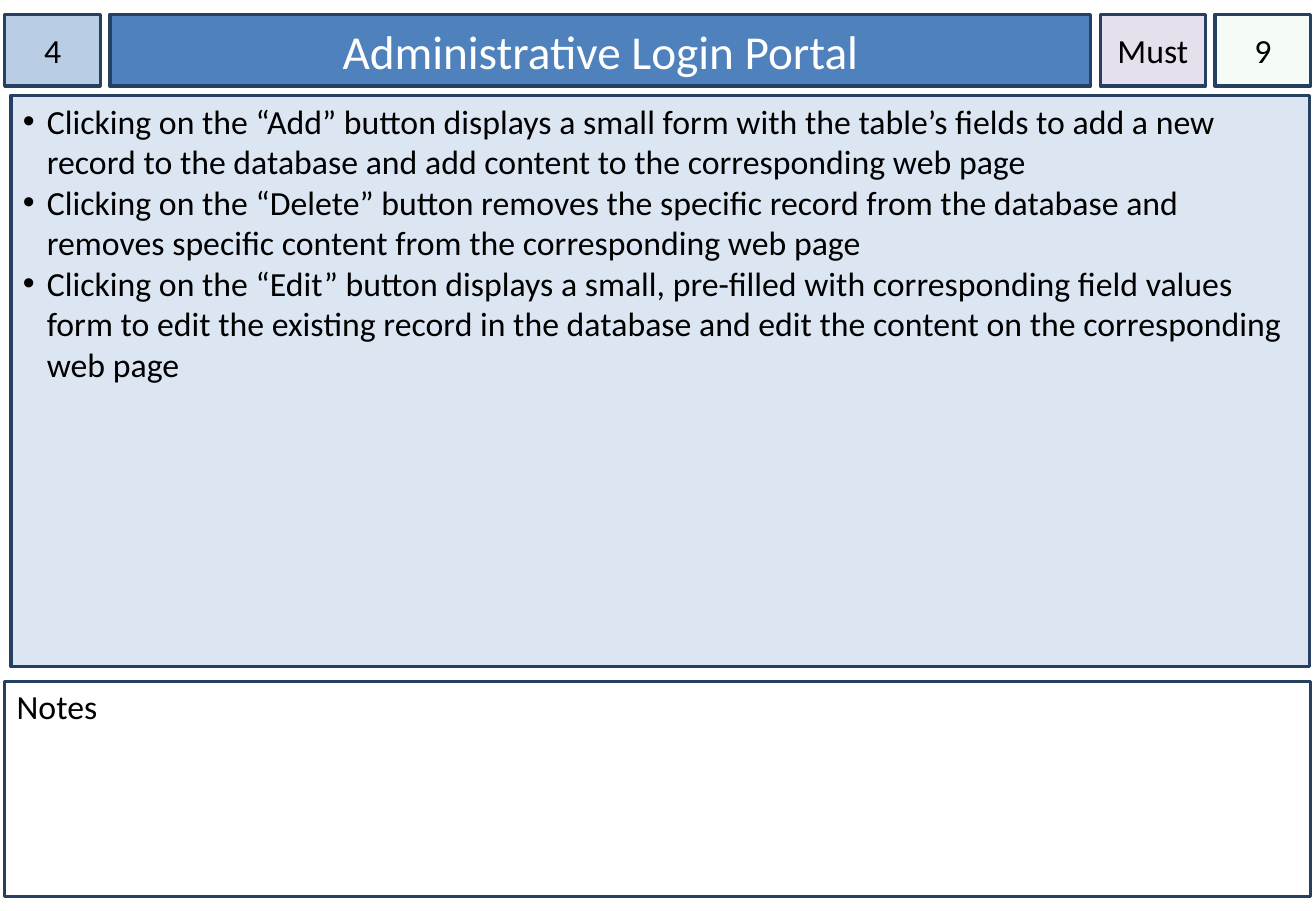
from lxml import etree
from pptx import Presentation
from pptx.dml.color import RGBColor
from pptx.enum.shapes import MSO_SHAPE
from pptx.enum.text import MSO_ANCHOR, PP_ALIGN
from pptx.oxml.ns import qn
from pptx.util import Cm, Pt

RECTANGLE = MSO_SHAPE.RECTANGLE
TOP, MIDDLE = MSO_ANCHOR.TOP, MSO_ANCHOR.MIDDLE
LEFT, CENTER = PP_ALIGN.LEFT, PP_ALIGN.CENTER

FONT = "Calibri"
BORDER, BLACK, WHITE = "254061", "000000", "FFFFFF"
GAP = 0.2
INDENT = 0.5

CELL_FRAME = {"vertical_anchor": MIDDLE, "margin_left": 0, "margin_right": 0}
TITLE_FRAME = {"vertical_anchor": MIDDLE}
TEXT_FRAME = {"vertical_anchor": TOP, "margin_top": Cm(0.1)}

# text, width, fill, opacity in percent, font size, font colour, frame format
HEADER_CELLS = [
    ("4", 2, "B9CDE5", 100, 20, BLACK, CELL_FRAME),
    ("Administrative Login Portal", 20.5, "4F81BD", 100, 28, WHITE, TITLE_FRAME),
    ("Must", 2.2, "E6E0EC", 100, 20, BLACK, {**CELL_FRAME, "word_wrap": False}),
    ("9", 2, "CCF0CD", 20, 20, BLACK, CELL_FRAME),
]
CRITERIA = [
    "Clicking on the “Add” button displays a small form with the table’s fields "
    "to add a new record to the database and add content to the corresponding web page",
    "Clicking on the “Delete” button removes the specific record from the database "
    "and removes specific content from the corresponding web page",
    "Clicking on the “Edit” button displays a small, pre-filled with corresponding "
    "field values form to edit the existing record in the database and edit the "
    "content on the corresponding web page",
]


def color(hex_string):
    """Turn a hex string into a colour."""
    return RGBColor.from_string(hex_string)


def set_opacity(panel, percent):
    """Make the solid fill of a panel partly transparent."""
    fill_color = panel.fill._xPr.find(qn("a:solidFill"))[0]
    etree.SubElement(fill_color, qn("a:alpha"), val=str(percent * 1000))


def add_bullet(paragraph):
    """Give a paragraph a round bullet with a hanging indent."""
    properties = paragraph._p.get_or_add_pPr()
    properties.set("marL", str(Cm(INDENT)))
    properties.set("indent", str(-Cm(INDENT)))
    etree.SubElement(properties, qn("a:buFont"), typeface="Arial")
    etree.SubElement(properties, qn("a:buChar"), char="•")


def add_panel(slide, box, lines, fill, frame_format, align=LEFT, size=20, ink=BLACK):
    """Draw a bordered rectangle with one paragraph per line of text."""
    panel = slide.shapes.add_shape(RECTANGLE, *(Cm(length) for length in box))
    panel.shadow.inherit = False
    panel.fill.solid()
    panel.fill.fore_color.rgb = color(fill)
    panel.line.color.rgb = color(BORDER)
    panel.line.width = Pt(2)

    frame = panel.text_frame
    for name, value in {"word_wrap": True, **frame_format}.items():
        setattr(frame, name, value)
    frame.text = "\n".join(lines)
    font_format = {"name": FONT, "size": Pt(size)}
    for paragraph in frame.paragraphs:
        paragraph.alignment = align
        font = paragraph.runs[0].font
        for name, value in font_format.items():
            setattr(font, name, value)
        font.color.rgb = color(ink)
    return panel


def add_header(slide, box):
    """Place the story number, title, priority and estimate side by side."""
    left, top, _, height = box
    for text, width, fill, opacity, size, ink, frame_format in HEADER_CELLS:
        cell = add_panel(slide, (left, top, width, height), [text], fill,
                         frame_format, CENTER, size, ink)
        if opacity < 100:
            set_opacity(cell, opacity)
        left += width + GAP


def add_criteria(slide, box):
    """Place the bulleted list of acceptance criteria."""
    criteria = add_panel(slide, box, CRITERIA, "DCE6F2", TEXT_FRAME)
    for paragraph in criteria.text_frame.paragraphs:
        add_bullet(paragraph)


def add_notes_area(slide, box):
    """Place the empty area for notes."""
    add_panel(slide, box, ["Notes"], WHITE, TEXT_FRAME)


def main():
    """Build the story card and save it."""
    deck = Presentation()
    deck.slide_width, deck.slide_height = Cm(27.51), Cm(19.05)
    card = deck.slides.add_slide(deck.slide_layouts[6])
    add_header(card, (0.1, 0.3, 27.3, 1.5))
    add_criteria(card, (0.23, 2, 27.15, 11.94))
    add_notes_area(card, (0.1, 14.25, 27.3, 4.5))
    deck.save("out.pptx")


main()
